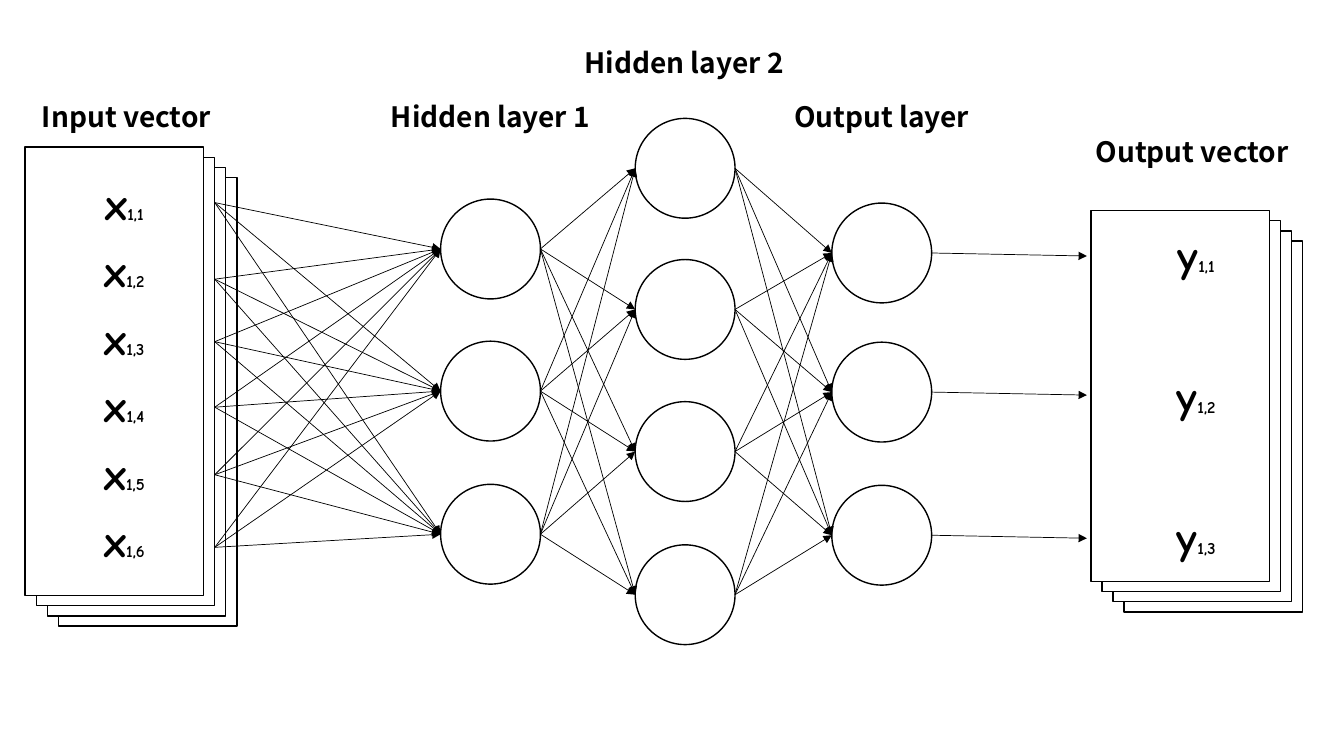
import pptx
import pptx.dml.color
import pptx.enum.shapes
import pptx.enum.text
import pptx.oxml.ns
import pptx.util
from lxml import etree
from pptx.util import Inches

COLORS = {"ink": "000000", "paper": "FFFFFF"}
HEAD_FONT = "Noto Sans CJK KR"
MATH_FONT = "Comic Neue"
NODE = 0.99
CARD = 1.77
INPUT_X = 2.13
INPUT_YS = [2.01, 2.77, 3.39, 4.04, 4.71, 5.43]
# Left edge and node centres of each layer
LAYERS = [
    (4.37, [2.47, 3.88, 5.3]),
    (6.3, [1.67, 3.07, 4.48, 5.9]),
    (8.25, [2.51, 3.89, 5.31]),
]
HEADINGS = [
    ("Input vector", 0.17, 0.94, 2.17),
    ("Hidden layer 1", 3.72, 0.94, 2.29),
    ("Hidden layer 2", 5.64, 0.4, 2.29),
    ("Output layer", 7.6, 0.94, 2.29),
    ("Output vector", 10.46, 1.29, 2.73),
]


def color(name):
    return pptx.dml.color.RGBColor.from_string(COLORS[name])


def add_box(slide, kind, left, top, width, height):
    box = slide.shapes.add_shape(
        kind, Inches(left), Inches(top), Inches(width), Inches(height))
    box.shadow.inherit = False
    box.fill.solid()
    box.fill.fore_color.rgb = color("paper")
    box.line.color.rgb = color("ink")
    box.line.width = pptx.util.Pt(1)


def add_stack(slide, left, top, height):
    """Draw four overlapping cards, the front one at left and top."""
    kind = pptx.enum.shapes.MSO_SHAPE.RECTANGLE
    for i in reversed(range(4)):
        add_box(slide, kind, left + 0.11 * i, top + 0.1 * i, CARD, height)


def add_node(slide, left, mid):
    kind = pptx.enum.shapes.MSO_SHAPE.OVAL
    add_box(slide, kind, left, mid - NODE / 2, NODE, NODE)


def add_arrow(slide, x1, y1, x2, y2):
    arrow = slide.shapes.add_connector(
        pptx.enum.shapes.MSO_CONNECTOR.STRAIGHT,
        Inches(x1), Inches(y1), Inches(x2), Inches(y2))
    arrow.line.color.rgb = color("ink")
    arrow.line.width = pptx.util.Pt(0.5)
    qn = pptx.oxml.ns.qn
    tail = etree.SubElement(arrow.line._get_or_add_ln(), qn("a:tailEnd"))
    tail.set("type", "triangle")
    etree.SubElement(arrow._element.spPr, qn("a:effectLst"))


def add_mesh(slide, x1, starts, x2, ends):
    """Join every start to every end."""
    for y1 in starts:
        for y2 in ends:
            add_arrow(slide, x1, y1, x2, y2)


def add_text(slide, left, top, width, height, font, runs):
    """Add a centred bold line; runs are pairs of text and size."""
    box = slide.shapes.add_textbox(
        Inches(left), Inches(top), Inches(width), Inches(height))
    frame = box.text_frame
    frame.word_wrap = True
    frame.auto_size = pptx.enum.text.MSO_AUTO_SIZE.SHAPE_TO_FIT_TEXT
    line = frame.paragraphs[0]
    line.alignment = pptx.enum.text.PP_ALIGN.CENTER
    for text, size in runs:
        run = line.add_run()
        run.text = text
        run.font.name = font
        run.font.size = pptx.util.Pt(size)
        run.font.bold = True
        run.font.color.rgb = color("ink")


def add_terms(slide, name, count, left, top, step):
    """Add a column of indexed vector terms."""
    for i in range(count):
        runs = [(name, 32), (f"1,{i + 1}", 12)]
        add_text(slide, left, top + step * i, 2.17, 0.64, MATH_FONT, runs)


def main():
    deck = pptx.Presentation()
    deck.slide_width = Inches(13.33)
    deck.slide_height = Inches(7.5)
    slide = deck.slides.add_slide(deck.slide_layouts[6])

    add_stack(slide, 0.25, 1.46, 4.45)
    add_terms(slide, "x", 6, 0.15, 1.69, 0.67)
    add_stack(slide, 10.82, 2.09, 3.68)
    add_terms(slide, "y", 3, 10.78, 2.21, 1.4)
    for text, left, top, width in HEADINGS:
        add_text(slide, left, top, width, 0.44, HEAD_FONT, [(text, 20)])

    start, mids = INPUT_X, INPUT_YS
    for left, ends in LAYERS:
        for mid in ends:
            add_node(slide, left, mid)
        add_mesh(slide, start, mids, left, ends)
        start, mids = left + NODE, ends
    for mid in mids:
        add_arrow(slide, start, mid, 10.78, mid + 0.03)

    deck.save("out.pptx")


if __name__ == "__main__":
    main()
